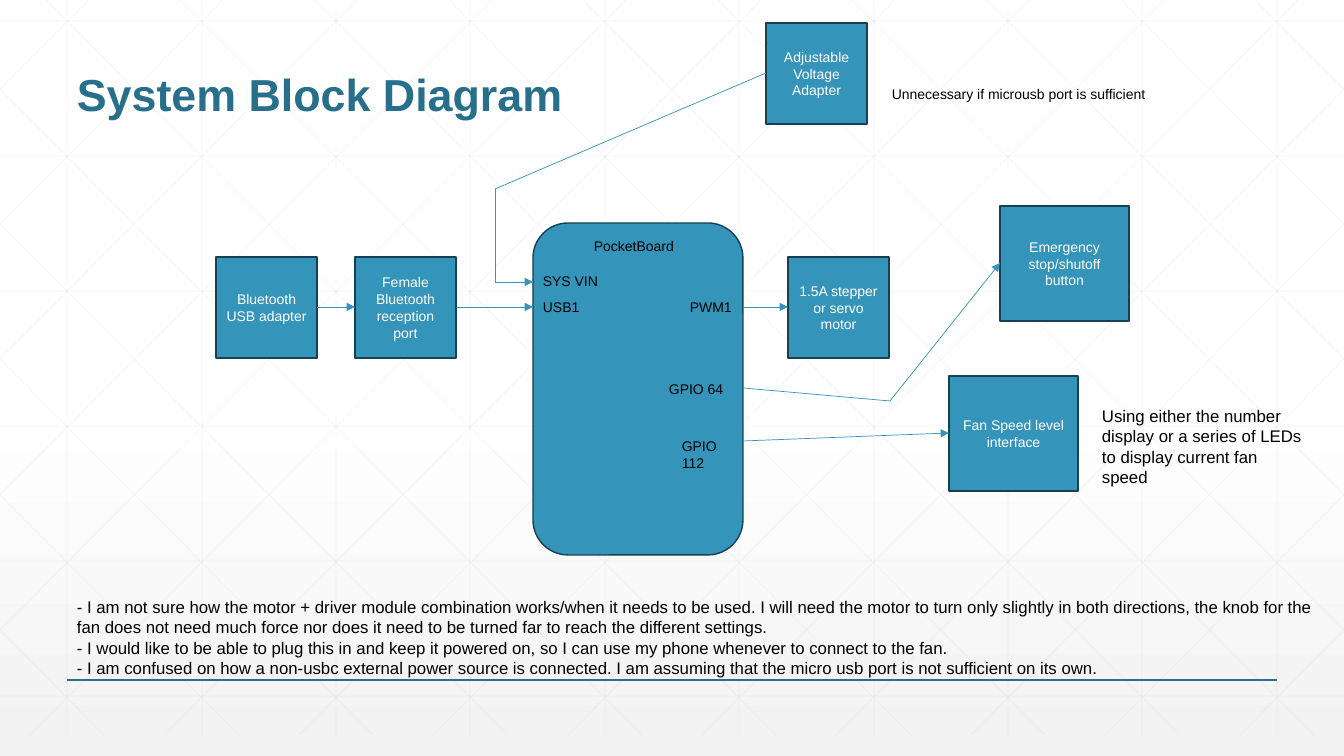
from dataclasses import dataclass
from itertools import pairwise

from lxml.etree import SubElement
from pptx import Presentation
from pptx.dml.color import RGBColor as Rgb
from pptx.enum.shapes import MSO_CONNECTOR as Link, MSO_SHAPE as Form
from pptx.enum.text import MSO_ANCHOR as Anchor, PP_ALIGN as Align
from pptx.oxml.ns import qn
from pptx.util import Pt

WIDE, HIGH = 1344, 756
SCALE = 12192000 / WIDE


@dataclass(frozen=True)
class Theme:
    font: str = "Arial"
    title: str = "276F8B"
    fill: str = "3494BA"
    edge: str = "174152"
    ink: str = "000000"
    light: str = "FFFFFF"
    shade: str = "F2F2F2"
    mesh: str = "D9D9D9"
    head: int = 32
    body: int = 12
    small: int = 10


def emu(*px):
    return [round(n * SCALE) for n in px]


class Board:
    """Draws styled elements on one slide, with lengths in px."""

    def __init__(self, deck, theme):
        self.theme = theme
        self.slide = deck.slides.add_slide(deck.slide_layouts[6])
        self.shapes = self.slide.shapes

    def paint(self):
        fill = self.slide.background.fill
        fill.gradient()
        fill.gradient_angle = 270
        tones = (0.53, self.theme.light), (1, self.theme.shade)
        for stop, (place, tone) in zip(fill.gradient_stops, tones):
            stop.position = place
            stop.color.rgb = Rgb.from_string(tone)

    def letter(self, frame, text, size, color, bold=False, align=Align.LEFT):
        frame.text = text
        for para in frame.paragraphs:
            para.alignment = align
            for run in para.runs:
                font = run.font
                font.name, font.size, font.bold = self.theme.font, Pt(size), bold
                font.color.rgb = Rgb.from_string(color)

    def label(self, box, text, size=None, wrap=True):
        frame = self.shapes.add_textbox(*emu(*box)).text_frame
        frame.word_wrap = wrap
        self.letter(frame, text, size or self.theme.small, self.theme.ink)

    def title(self, box, text):
        frame = self.shapes.add_textbox(*emu(*box)).text_frame
        frame.word_wrap = True
        frame.vertical_anchor = Anchor.BOTTOM
        self.letter(frame, text, self.theme.head, self.theme.title, bold=True)
        frame.paragraphs[0].line_spacing = 0.9

    def block(self, box, text="", form=Form.RECTANGLE):
        shape = self.shapes.add_shape(form, *emu(*box))
        shape.shadow.inherit = False
        shape.fill.solid()
        shape.fill.fore_color.rgb = Rgb.from_string(self.theme.fill)
        shape.line.color.rgb = Rgb.from_string(self.theme.edge)
        shape.line.width = Pt(1)
        if text:
            frame = shape.text_frame
            frame.word_wrap = True
            frame.vertical_anchor = Anchor.MIDDLE
            self.letter(frame, text, self.theme.small, self.theme.light, align=Align.CENTER)

    def line(self, start, end, color, width=0.5, alpha=None):
        link = self.shapes.add_connector(Link.STRAIGHT, *emu(*start, *end))
        link.line.color.rgb = Rgb.from_string(color)
        link.line.width = Pt(width)
        props = link.element.spPr
        SubElement(props, qn("a:effectLst"))
        if alpha:
            tone = next(props.iter(qn("a:srgbClr")))
            SubElement(tone, qn("a:alpha"), val=str(alpha * 1000))
        return link

    def route(self, *points):
        for start, end in pairwise(points):
            link = self.line(start, end, self.theme.fill)
        stroke = link.element.spPr.find(qn("a:ln"))
        SubElement(stroke, qn("a:tailEnd"), type="triangle")

    def mesh(self):
        step, top, base, slope = WIDE / 10, -21, 735, 0.994
        rules = []
        for col in range(10):
            x = round((col + 0.5) * step)
            rules.append(((x, 0), (x, base)))
        for row in range(6):
            y = 21 + 135 * row
            rules.append(((0, y), (WIDE, y)))
        for col in range(-5, 10):
            left = 25 + col * step
            high = max(0, top - left / slope)
            low = min(base, top + (WIDE - left) / slope)
            ends = [(round(left + (y - top) * slope), round(y)) for y in (high, low)]
            rules.append(ends)
            rules.append([(WIDE - x, y) for x, y in ends])
        for start, end in rules:
            self.line(start, end, self.theme.mesh, alpha=25)


def main():
    deck = Presentation()
    deck.slide_width, deck.slide_height = emu(WIDE, HIGH)
    theme = Theme()
    board = Board(deck, theme)
    board.paint()
    board.mesh()
    board.line((67, 680), (1277, 680), theme.title, 1)
    board.title((67, 25, 1210, 101), "System Block Diagram")

    board.block((533, 223, 210, 332), form=Form.ROUNDED_RECTANGLE)
    small, large = (101, 101), (129, 115)
    for spot, size, text in (
        ((216, 257), small, "Bluetooth USB adapter"),
        ((355, 257), small, "Female Bluetooth reception port"),
        ((788, 257), small, "1.5A stepper or servo motor"),
        ((766, 23), small, "Adjustable Voltage Adapter"),
        ((1000, 206), large, "Emergency stop/shutoff button"),
        ((949, 376), large, "Fan Speed level interface"),
    ):
        board.block(spot + size, text)

    for box, text in (
        ((584, 233, 109, 27), "PocketBoard"),
        ((533, 268, 130, 27), "SYS VIN"),
        ((533, 294, 62, 27), "USB1"),
        ((680, 294, 62, 27), "PWM1"),
        ((659, 376, 109, 27), "GPIO 64"),
        ((672, 433, 62, 44), "GPIO 112"),
    ):
        board.label(box, text)

    for points in (
        ((317, 307), (355, 307)),
        ((457, 307), (533, 307)),
        ((743, 307), (788, 307)),
        ((766, 73), (495, 189), (495, 282), (533, 282)),
        ((743, 388), (890, 401), (1000, 263)),
        ((743, 441), (949, 433)),
    ):
        board.route(*points)

    board.label((882, 81, 276, 27), "Unnecessary if microusb port is sufficient", wrap=False)
    board.label(
        (1092, 401, 223, 92),
        "Using either the number display or a series of LEDs to display current fan speed",
        theme.body,
    )
    notes = (
        "- I am not sure how the motor + driver module combination works/when it needs to be used. "
        "I will need the motor to turn only slightly in both directions, the knob for the fan does "
        "not need much force nor does it need to be turned far to reach the different settings.",
        "- I would like to be able to plug this in and keep it powered on, "
        "so I can use my phone whenever to connect to the fan.",
        "- I am confused on how a non-usbc external power source is connected. "
        "I am assuming that the micro usb port is not sufficient on its own.",
    )
    board.label((67, 592, 1277, 92), "\n".join(notes), theme.body)
    deck.save("out.pptx")


if __name__ == "__main__":
    main()
